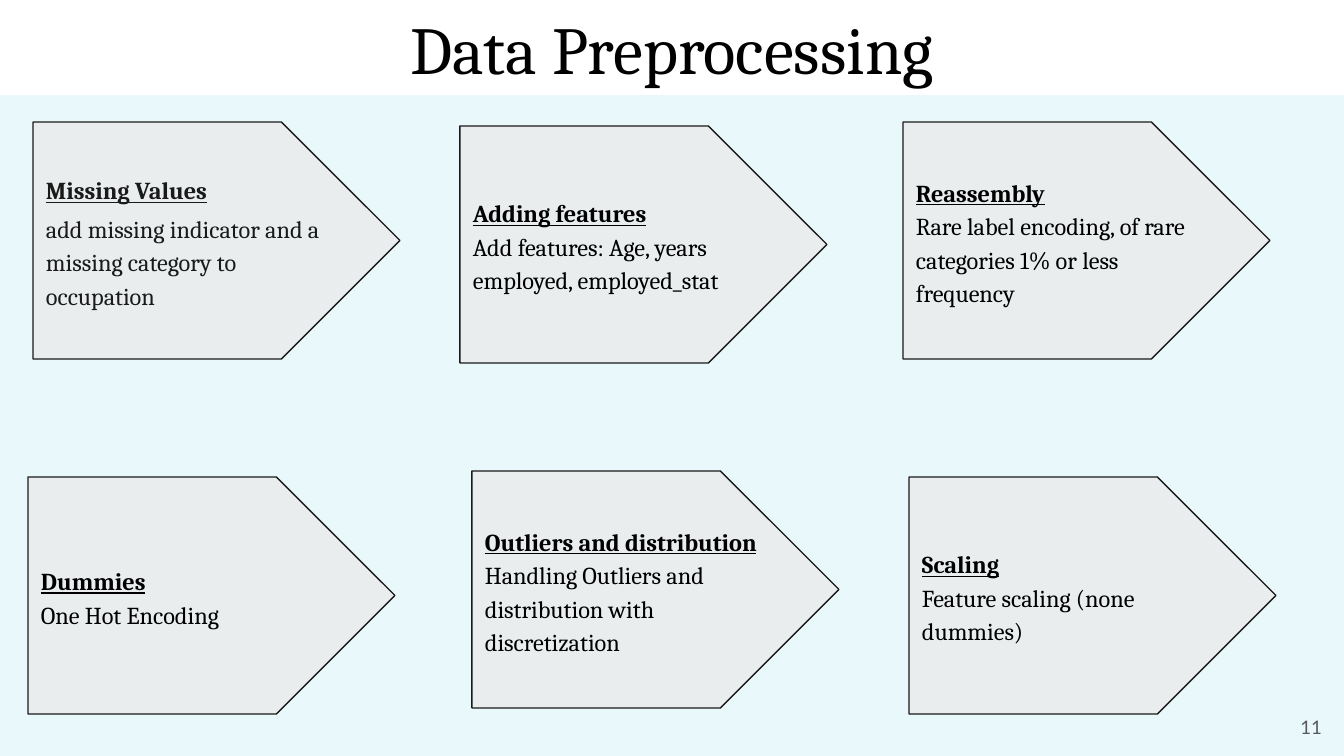
from pptx import Presentation
from pptx.dml.color import RGBColor
from pptx.enum.shapes import MSO_SHAPE
from pptx.enum.text import MSO_ANCHOR, MSO_AUTO_SIZE, PP_ALIGN
from pptx.util import Emu, Pt

W, H = 1344, 756
SCALE = 9144000 / W
COLORS = {
    "background": "E9F8FB",
    "white": "FFFFFF",
    "black": "000000",
    "dark": "1A1A1A",
    "arrow": "E9EDEE",
    "number": "595959",
}


def px(*lengths):
    """Turn px lengths into a list of EMU lengths."""
    return [Emu(round(n * SCALE)) for n in lengths]


def add_run(p, text, size, color, font="Cambria", heading=False):
    r = p.add_run()
    r.text = text
    r.font.name = font
    r.font.size = Pt(size)
    r.font.bold = heading
    r.font.underline = heading
    r.font.color.rgb = RGBColor.from_string(COLORS[color])


prs = Presentation()
prs.slide_width, prs.slide_height = px(W, H)
s = prs.slides.add_slide(prs.slide_layouts[5])
s.background.fill.solid()
s.background.fill.fore_color.rgb = RGBColor.from_string(COLORS["background"])

# Title band
title = s.shapes.title
title.left, title.top, title.width, title.height = px(0, 0, W, 95)
title.fill.solid()
title.fill.fore_color.rgb = RGBColor.from_string(COLORS["white"])
tf = title.text_frame
tf.auto_size = MSO_AUTO_SIZE.NONE
tf.vertical_anchor = MSO_ANCHOR.MIDDLE
p = tf.paragraphs[0]
p.alignment = PP_ALIGN.CENTER
add_run(p, "Data Preprocessing", 36, "black")

# Preprocessing steps: left, top, heading, body, text colour, space before body
STEPS = [
    (33, 122, "Missing Values",
     "add missing indicator and a missing category to occupation", "dark", 2.6),
    (460, 126, "Adding features",
     "Add features: Age, years employed, employed_stat", "black", 0),
    (903, 122, "Reassembly",
     "Rare label encoding, of rare categories 1% or less frequency", "black", 0),
    (28, 477, "Dummies", "One Hot Encoding", "black", 0),
    (472, 471, "Outliers and distribution",
     "Handling Outliers and distribution with discretization", "black", 0),
    (909, 477, "Scaling", "Feature scaling (none dummies)", "black", 0),
]
inset = px(13)[0]
for left, top, heading, body, color, gap in STEPS:
    sp = s.shapes.add_shape(MSO_SHAPE.PENTAGON, *px(left, top, 367, 237))
    sp.shadow.inherit = False
    sp.fill.solid()
    sp.fill.fore_color.rgb = RGBColor.from_string(COLORS["arrow"])
    sp.line.color.rgb = RGBColor.from_string(COLORS["dark"])
    sp.line.width = Pt(0.75)
    tf = sp.text_frame
    tf.word_wrap = True
    tf.vertical_anchor = MSO_ANCHOR.MIDDLE
    tf.margin_left = tf.margin_right = tf.margin_top = tf.margin_bottom = inset
    for i, text in enumerate((heading, body)):
        p = tf.add_paragraph() if i else tf.paragraphs[0]
        p.alignment = PP_ALIGN.LEFT
        p.line_spacing = 1.15
        if i:
            p.space_before = Pt(gap)
        add_run(p, text, 13, color, heading=i == 0)

# Slide number
number = s.shapes.add_textbox(*px(1255, 698, 80, 58))
tf = number.text_frame
tf.word_wrap = True
tf.vertical_anchor = MSO_ANCHOR.MIDDLE
tf.margin_left = tf.margin_right = tf.margin_top = tf.margin_bottom = inset
p = tf.paragraphs[0]
p.alignment = PP_ALIGN.RIGHT
add_run(p, "11", 10, "number", font="Lato")

prs.save("out.pptx")
